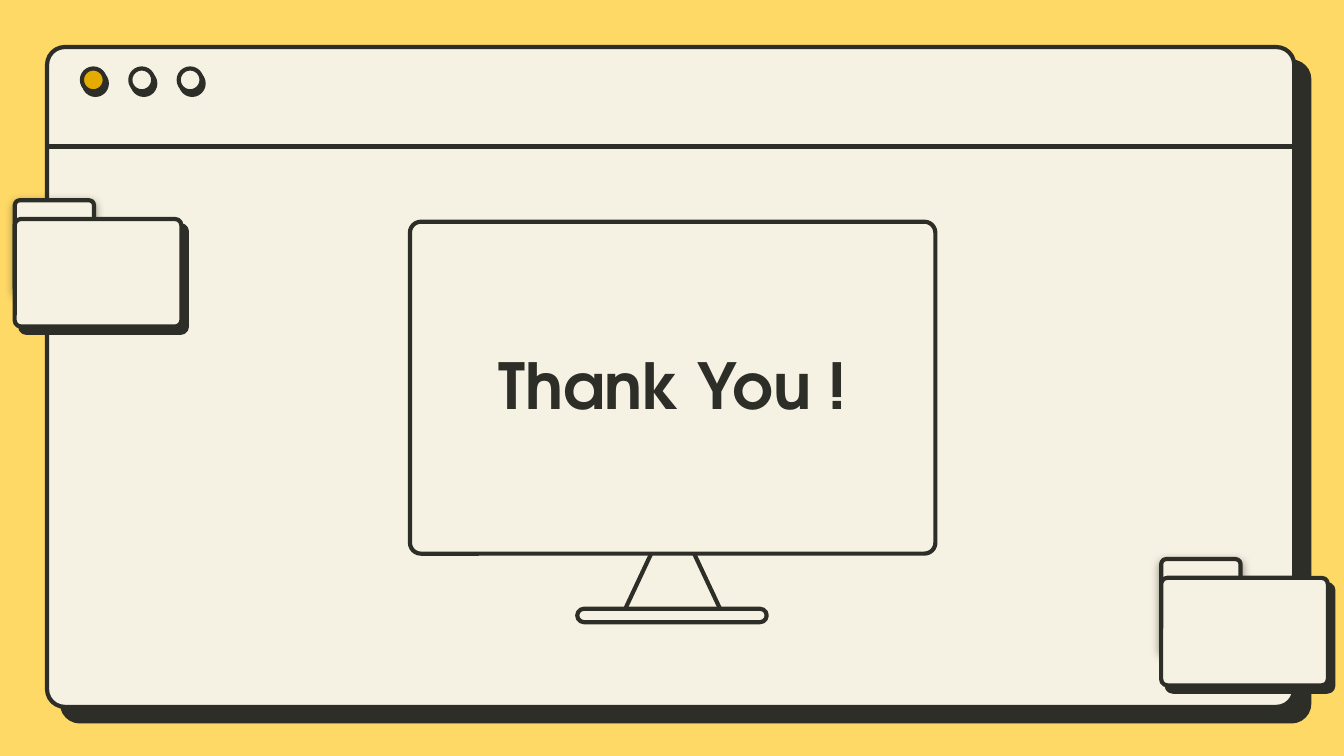
import pptx
import pptx.util
import pptx.dml.color
import pptx.enum.shapes
import pptx.enum.text
import pptx.oxml
import pptx.oxml.ns
import lxml.etree

Inches, Pt = pptx.util.Inches, pptx.util.Pt
KIND = pptx.enum.shapes.MSO_SHAPE
DARK, CREAM, GOLD, SAND = "2D2E27", "F6F2E3", "E4AB00", "FFD966"
FONT = "TeX Gyre Adventor"


def color(code):
    return pptx.dml.color.RGBColor.from_string(code)


def shade(shape, alpha, blur, dist, angle):
    """Give a shape an outer shadow: percent, points, points, degrees."""
    effects = shape._element.spPr.find(pptx.oxml.ns.qn("a:effectLst"))
    effects.append(pptx.oxml.parse_xml(
        f'<a:outerShdw {pptx.oxml.ns.nsdecls("a")} blurRad="{Pt(blur)}" '
        f'dist="{Pt(dist)}" dir="{angle * 60000}" algn="bl" rotWithShape="0">'
        f'<a:srgbClr val="{DARK}"><a:alpha val="{alpha * 1000}"/></a:srgbClr>'
        '</a:outerShdw>'))


def draw(slide, kind, box, adjust=None, fill=CREAM, shadow=None):
    """Add an outlined shape."""
    shape = slide.shapes.add_shape(kind, *map(Inches, box))
    if adjust is not None:
        shape.adjustments[0] = adjust
    shape.fill.solid()
    shape.fill.fore_color.rgb = color(fill)
    shape.line.color.rgb = color(DARK)
    shape.line.width = Pt(2.25)
    shape.shadow.inherit = False
    if shadow:
        shade(shape, *shadow)


def add_window(slide, left, top, width, height):
    # Frame
    draw(slide, KIND.ROUNDED_RECTANGLE, (left, top, width, height), 0.027,
         shadow=(100, 0, 11.2, 44))
    # Title bar rule
    rule = slide.shapes.add_connector(
        pptx.enum.shapes.MSO_CONNECTOR.STRAIGHT,
        Inches(left + width), Inches(top + 0.74), Inches(left), Inches(top + 0.74))
    rule.line.color.rgb = color(DARK)
    rule.line.width = Pt(2.25)
    lxml.etree.SubElement(rule._element.spPr, pptx.oxml.ns.qn("a:effectLst"))
    # Buttons
    for i, fill in enumerate((GOLD, CREAM, CREAM)):
        draw(slide, KIND.OVAL, (left + 0.26 + 0.36 * i, top + 0.16, 0.17, 0.17),
             fill=fill, shadow=(100, 0, 2.2, 60))


def add_screen(slide, left, top, width, height, words):
    middle, bottom = left + width / 2, top + height
    # Stand, display and foot
    draw(slide, KIND.TRAPEZOID, (middle - 0.39, bottom - 0.85, 0.78, 0.83), 0.76)
    draw(slide, KIND.ROUNDED_RECTANGLE, (left, top, width, height - 0.51), 0.033)
    draw(slide, KIND.ROUNDED_RECTANGLE, (middle - 0.71, bottom - 0.1, 1.41, 0.1), 0.5)
    # Title
    title = slide.shapes.add_textbox(
        *map(Inches, (left + 0.22, top + 0.92, width - 0.44, 0.58)))
    frame = title.text_frame
    frame.word_wrap = True
    frame.vertical_anchor = pptx.enum.text.MSO_ANCHOR.MIDDLE
    frame.margin_left = frame.margin_right = Inches(0.1)
    frame.margin_top = frame.margin_bottom = Inches(0.1)
    frame.text = words
    line = frame.paragraphs[0]
    line.alignment = pptx.enum.text.PP_ALIGN.CENTER
    font = line.runs[0].font
    font.name, font.size, font.bold = FONT, Pt(34), True
    font.color.rgb = color(DARK)


def add_folder(slide, left, top, width, height):
    # Tab behind, then front
    draw(slide, KIND.ROUNDED_RECTANGLE, (left, top, 0.59, 0.69), 0.063,
         shadow=(50, 4.5, 1.5, 90))
    draw(slide, KIND.ROUNDED_RECTANGLE, (left, top + 0.14, width, height - 0.14),
         0.058, shadow=(100, 0, 4.5, 49))


def main():
    deck = pptx.Presentation()
    # Widescreen, 16 to 9
    deck.slide_width, deck.slide_height = Inches(10), Inches(10 * 9 / 16)
    slide = deck.slides.add_slide(deck.slide_layouts[6])
    slide.background.fill.solid()
    slide.background.fill.fore_color.rgb = color(SAND)
    add_window(slide, 0.35, 0.35, 9.28, 4.91)
    add_screen(slide, 3.05, 1.65, 3.91, 2.98, "Thank You !")
    for left, top in ((0.11, 1.49), (8.64, 4.16)):
        add_folder(slide, left, top, 1.24, 0.94)
    deck.save("out.pptx")


if __name__ == "__main__":
    main()
